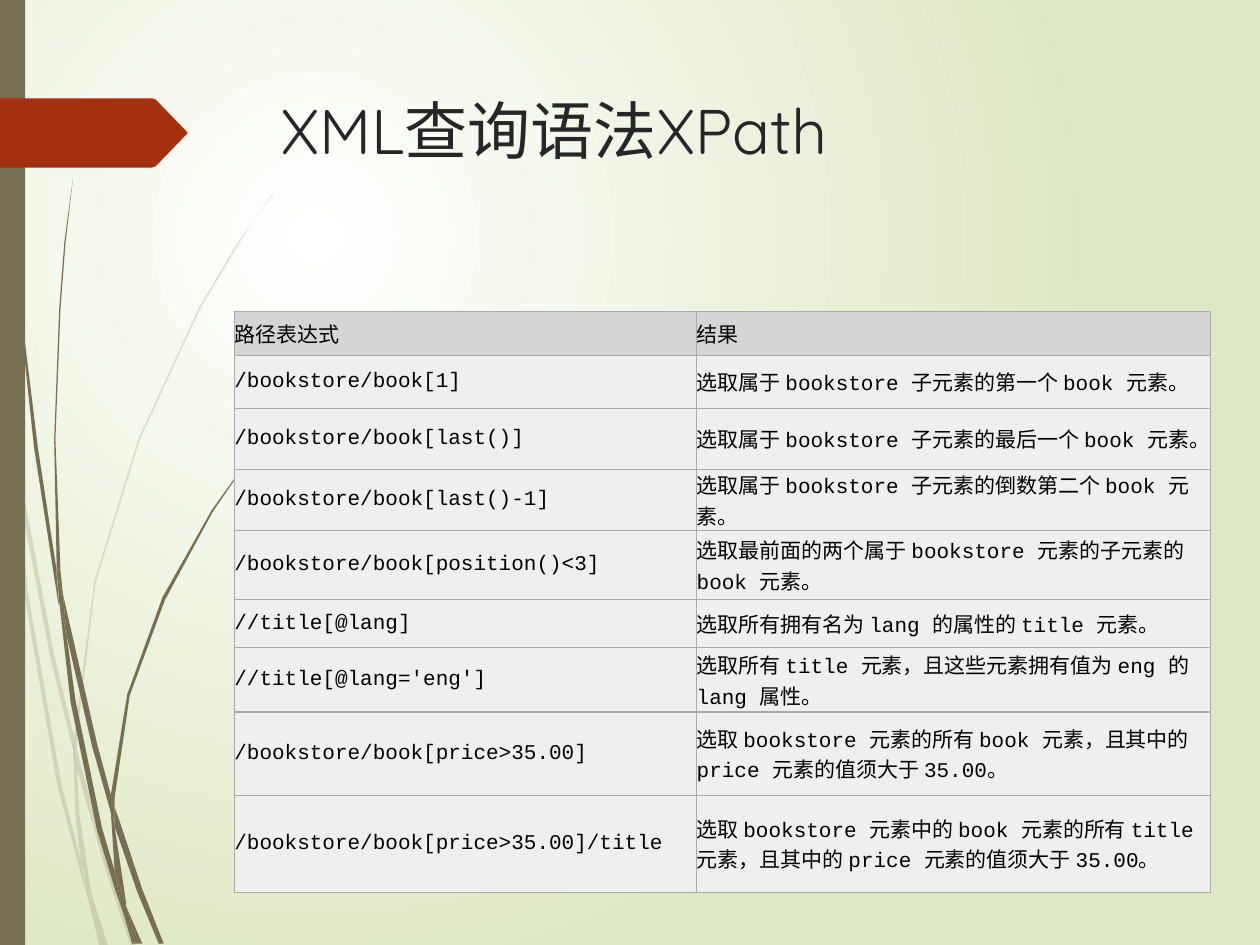
from lxml.etree import SubElement
from pptx import Presentation
from pptx.dml.color import RGBColor
from pptx.enum.shapes import MSO_SHAPE as Preset
from pptx.enum.text import MSO_ANCHOR as Anchor, PP_ALIGN as Align
from pptx.oxml import parse_xml
from pptx.oxml.ns import nsdecls, qn
from pptx.util import Inches, Pt

WIDTH, HEIGHT = 10, 7.5
WHITE = RGBColor(0xFF, 0xFF, 0xFF)
PALE_GREEN = RGBColor(0xDF, 0xE8, 0xC4)
OLIVE = RGBColor(0x76, 0x6F, 0x54)
RUST = RGBColor(0xA5, 0x30, 0x10)
INK = RGBColor(0x26, 0x26, 0x26)
BLACK = RGBColor(0, 0, 0)
HEADER_GREY = RGBColor(0xD5, 0xD5, 0xD5)
BODY_GREY = RGBColor(0xEF, 0xEF, 0xEF)
BORDER_GREY = "AAAAAA"

TITLE_FONT = dict(name="Quicksand", size=Pt(36), bold=False)
TABLE_FONT = dict(name="Courier New", size=Pt(12), bold=False)
CELL_FORMAT = dict(margin_left=0, margin_top=0, margin_right=Inches(0.01),
                   margin_bottom=0, vertical_anchor=Anchor.MIDDLE)

# Grass blades: outline corners in inches
PALE_BLADES = [
    [(0.08, 3.5), (0.06, 3.22), (0, 2.82), (0, 2.99), (0.07, 3.44)],
    [(0.4, 5.22), (0.59, 5.99), (0.59, 5.86), (0.43, 5.2), (0.1, 3.45), (0.12, 3.76)],
    [(0.64, 6.07), (0.61, 5.96), (0.61, 6.1), (0.85, 6.94), (1.04, 7.51), (1.08, 7.51),
     (0.88, 6.92)],
    [(0.83, 7.51), (0.86, 7.51), (0.73, 7.11)],
    [(0.64, 6.83), (0.48, 6.19), (0.22, 4.69), (0.12, 3.76), (0.08, 3.5), (0.19, 4.7),
     (0.45, 6.21), (0.64, 6.93), (0.7, 7.14), (0.69, 7.07)],
    [(0.58, 5.99), (0.6, 6.46), (0.64, 6.83), (0.67, 6.92), (0.73, 7.11), (0.72, 7.06),
     (0.63, 6.46), (0.61, 6.1), (0.61, 6.08)],
    [(0.61, 5.84), (0.76, 4.62), (1.11, 3.49), (1.59, 2.45), (1.87, 1.98), (2.01, 1.75),
     (2.17, 1.54), (2.17, 1.53), (2.01, 1.75), (1.86, 1.97), (1.58, 2.44), (1.1, 3.48),
     (0.75, 4.61), (0.59, 5.84), (0.59, 5.86), (0.61, 5.96)],
    [(0.7, 7.14), (0.79, 7.51), (0.82, 7.51)],
    [(0.61, 6.08), (0.61, 6.1), (0.61, 5.96), (0.59, 5.86), (0.58, 5.99)],
    [(0.67, 6.92), (0.65, 6.83), (0.69, 7.07), (0.7, 7.14), (0.82, 7.51), (0.83, 7.51),
     (0.73, 7.11)],
]
DARK_BLADES = [
    [(0.05, 1.1), (0.14, 2.33), (0.27, 3.55), (0.46, 4.77), (0.47, 4.81), (0.45, 4.57),
     (0.45, 4.53), (0.3, 3.55), (0.15, 2.32), (0.06, 1.09), (0.04, 0.48), (0.03, 0),
     (0.02, 0), (0.03, 0.48)],
    [(0.73, 5.92), (0.88, 6.45), (0.88, 6.33), (0.88, 6.31), (0.77, 5.9), (0.5, 4.72),
     (0.53, 5.05)],
    [(0.94, 6.49), (0.91, 6.41), (0.91, 6.56), (1.09, 7.08), (1.26, 7.49), (1.3, 7.49),
     (1.13, 7.06)],
    [(0.91, 6.91), (0.81, 6.57), (0.6, 5.56), (0.53, 5.05), (0.47, 4.77), (0.56, 5.57),
     (0.77, 6.59), (0.92, 7.08), (0.97, 7.22), (0.96, 7.17)],
    [(0.5, 4.72), (0.48, 4.53), (0.44, 3.49), (0.48, 2.45), (0.52, 1.93), (0.58, 1.41),
     (0.51, 1.93), (0.47, 2.45), (0.43, 3.49), (0.45, 4.49), (0.49, 4.72)],
    [(1.1, 7.49), (1.13, 7.49), (1, 7.19)],
    [(0.47, 4.77), (0.53, 5.05), (0.5, 4.72), (0.49, 4.72), (0.45, 4.49), (0.45, 4.53)],
    [(0.91, 6.33), (1.03, 5.52), (1.31, 4.76), (1.69, 4.06), (1.91, 3.74), (2.03, 3.59),
     (2.16, 3.44), (2.15, 3.44), (2.03, 3.58), (1.91, 3.73), (1.68, 4.05), (1.29, 4.74),
     (1.01, 5.51), (0.88, 6.31), (0.91, 6.41)],
    [(0.97, 7.22), (1.05, 7.49), (1.08, 7.49)],
    [(0.88, 6.45), (0.91, 6.91), (0.96, 7.06), (1, 7.19), (1, 7.16), (0.91, 6.56),
     (0.9, 6.51)],
    [(0.88, 6.45), (0.9, 6.51), (0.91, 6.56), (0.91, 6.41), (0.88, 6.31), (0.88, 6.33)],
    [(0.96, 7.06), (0.91, 6.91), (0.96, 7.17), (0.97, 7.22), (1.08, 7.49), (1.1, 7.49),
     (1, 7.19)],
]

ROWS = [
    ("路径表达式", "结果"),
    ("/bookstore/book[1]", "选取属于 bookstore 子元素的第一个 book 元素。"),
    ("/bookstore/book[last()]", "选取属于 bookstore 子元素的最后一个 book 元素。"),
    ("/bookstore/book[last()-1]", "选取属于 bookstore 子元素的倒数第二个 book 元素。"),
    ("/bookstore/book[position()<3]", "选取最前面的两个属于 bookstore 元素的子元素的 book 元素。"),
    ("//title[@lang]", "选取所有拥有名为 lang 的属性的 title 元素。"),
    ("//title[@lang='eng']", "选取所有 title 元素，且这些元素拥有值为 eng 的 lang 属性。"),
    ("/bookstore/book[price>35.00]",
     "选取 bookstore 元素的所有 book 元素，且其中的 price 元素的值须大于 35.00。"),
    ("/bookstore/book[price>35.00]/title",
     "选取 bookstore 元素中的 book 元素的所有 title 元素，且其中的 price 元素的值须大于 35.00。"),
]
COLUMN_WIDTHS = [3.67, 4.08]
ROW_HEIGHTS = [0.35, 0.42, 0.44, 0.47, 0.55, 0.38, 0.51, 0.66, 0.77]


def apply_format(target, values):
    for name, value in values.items():
        setattr(target, name, value)


def paint(shape, color):
    shape.shadow.inherit = False
    shape.fill.solid()
    shape.fill.fore_color.rgb = color
    shape.line.fill.background()


def add_outline(shapes, points, color):
    corners = [(Inches(x), Inches(y)) for x, y in points]
    builder = shapes.build_freeform(*corners[0])
    builder.add_line_segments(corners[1:], close=True)
    shape = builder.convert_to_shape()
    paint(shape, color)
    return shape


def add_background(slide):
    fill = slide.background.fill
    fill.gradient()
    for stop, color in zip(fill.gradient_stops, (WHITE, PALE_GREEN)):
        stop.color.rgb = color
    # Radial gradient centred a quarter of the way in
    linear = next(slide.background._cSld.iter(qn("a:lin")))
    linear.getparent().replace(linear, parse_xml(
        f'<a:path {nsdecls("a")} path="circle">'
        '<a:fillToRect l="50000" t="50000" r="100000" b="100000"/></a:path>'))


def add_grass(slide, blades, opacity=None):
    group = slide.shapes.add_group_shape()
    for corners in blades:
        blade = add_outline(group.shapes, corners, OLIVE)
        if opacity:
            color = next(blade._element.spPr.iter(qn("a:srgbClr")))
            SubElement(color, qn("a:alpha"), val=str(opacity * 1000))


def add_side_bar(slide, left, top, width, height):
    bar = slide.shapes.add_shape(Preset.RECTANGLE, *map(Inches, (left, top, width, height)))
    paint(bar, OLIVE)


def add_ribbon(slide, left, top, width, height):
    upper = [(0, 0), (0.81, 0), (0.83, 0.02), (0.99, 0.47)]
    outline = upper + [(1, 0.5)] + [(x, 1 - y) for x, y in reversed(upper)]
    add_outline(slide.shapes, [(left + x * width, top + y * height) for x, y in outline], RUST)


def place_title(slide, left, top, width, height):
    title = slide.shapes.title
    apply_format(title, dict(left=Inches(left), top=Inches(top),
                             width=Inches(width), height=Inches(height)))
    title.text_frame.text = "XML查询语法XPath"
    title.text_frame.vertical_anchor = Anchor.TOP
    paragraph = title.text_frame.paragraphs[0]
    paragraph.alignment = Align.LEFT
    font = paragraph.runs[0].font
    apply_format(font, TITLE_FONT)
    font.color.rgb = INK
    slide.shapes._spTree.append(title._element)  # in front of the decoration


def add_borders(cell):
    properties = cell._tc.get_or_add_tcPr()
    for position, side in enumerate("LRTB"):
        properties.insert(position, parse_xml(
            f'<a:ln{side} {nsdecls("a")} w="{Pt(0.75)}"><a:solidFill>'
            f'<a:srgbClr val="{BORDER_GREY}"/></a:solidFill></a:ln{side}>'))


def add_expression_table(slide, left, top):
    box = map(Inches, (left, top, sum(COLUMN_WIDTHS), sum(ROW_HEIGHTS)))
    table = slide.shapes.add_table(len(ROWS), len(COLUMN_WIDTHS), *box).table
    apply_format(table, dict(first_row=False, horz_banding=False))
    for column, width in zip(table.columns, COLUMN_WIDTHS):
        column.width = Inches(width)
    for index, (row, height, texts) in enumerate(zip(table.rows, ROW_HEIGHTS, ROWS)):
        row.height = Inches(height)
        for cell, text in zip(row.cells, texts):
            cell.text = text
            apply_format(cell, CELL_FORMAT)
            cell.fill.solid()
            cell.fill.fore_color.rgb = BODY_GREY if index else HEADER_GREY
            font = cell.text_frame.paragraphs[0].runs[0].font
            apply_format(font, TABLE_FONT)
            font.color.rgb = BLACK
            add_borders(cell)


def main():
    presentation = Presentation()
    apply_format(presentation, dict(slide_width=Inches(WIDTH), slide_height=Inches(HEIGHT)))
    slide = presentation.slides.add_slide(presentation.slide_layouts[5])
    add_background(slide)
    add_grass(slide, PALE_BLADES, opacity=20)
    add_grass(slide, DARK_BLADES)
    add_side_bar(slide, 0, 0, 0.02 * WIDTH, HEIGHT)
    add_ribbon(slide, 0, 0.78, 1.49, 0.55)
    place_title(slide, 2.13, 0.68, 7.21, 1.4)
    add_expression_table(slide, 1.86, 2.47)
    presentation.save("out.pptx")


if __name__ == "__main__":
    main()
